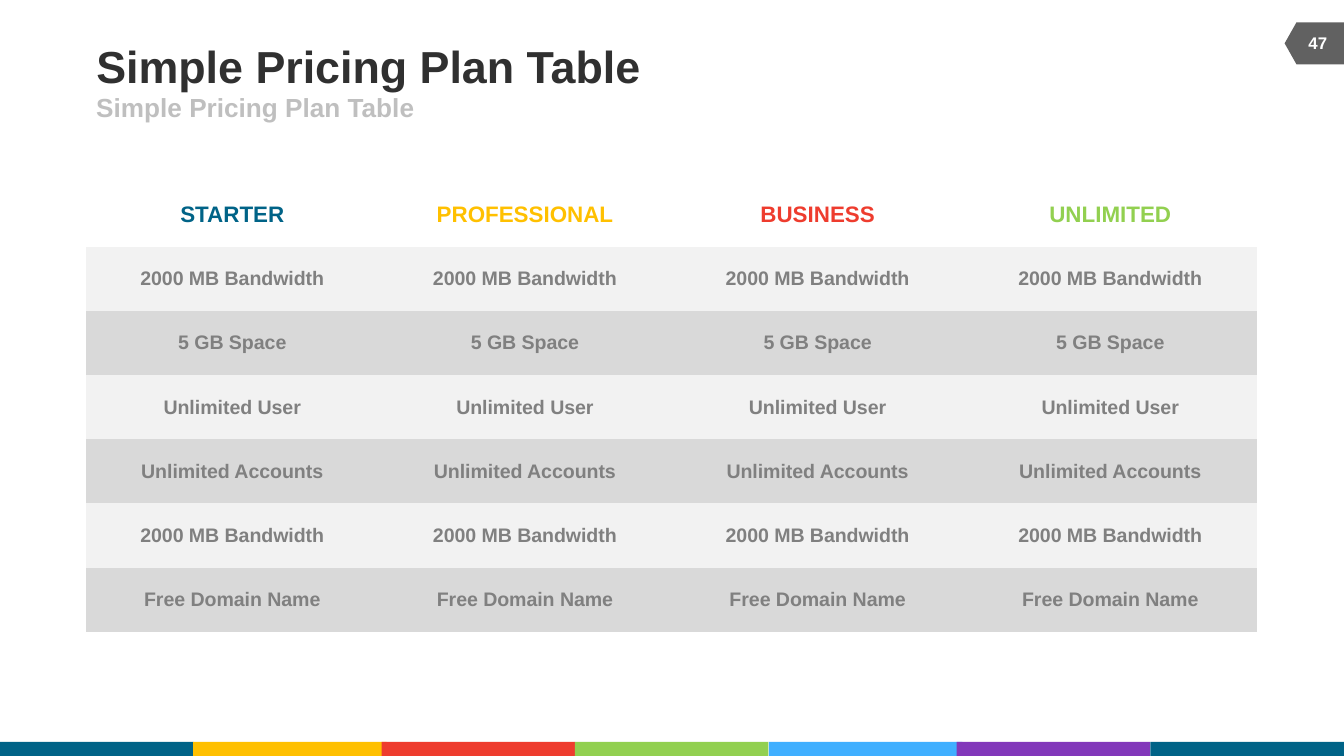
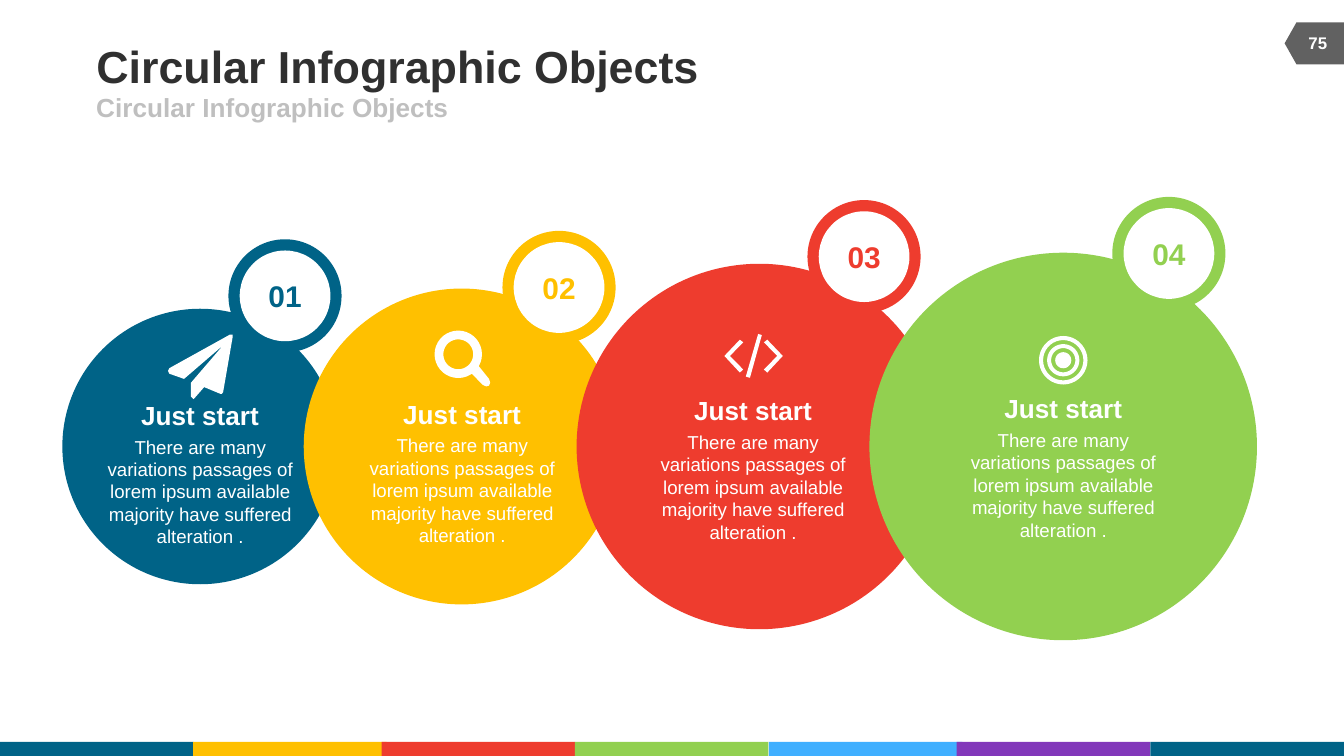
import math

from pptx import Presentation
from pptx.dml.color import RGBColor
from pptx.enum import shapes, text
from pptx.util import Pt

BLUE = RGBColor(0x00, 0x63, 0x87)
GOLD = RGBColor(0xFF, 0xC0, 0x00)
RED = RGBColor(0xEE, 0x3C, 0x2E)
GREEN = RGBColor(0x92, 0xD0, 0x50)
SKY = RGBColor(0x40, 0xAF, 0xFF)
PURPLE = RGBColor(0x82, 0x38, 0xBA)
WHITE = RGBColor(0xFF, 0xFF, 0xFF)
DARK = RGBColor(0x30, 0x30, 0x30)
SLATE = RGBColor(0x61, 0x61, 0x61)
GREY = RGBColor(0x80, 0x80, 0x80)
SILVER = RGBColor(0xBF, 0xBF, 0xBF)
PALE = RGBColor(0xF2, 0xF2, 0xF2)
MIST = RGBColor(0xD9, 0xD9, 0xD9)

FONT = "Arial"
OVAL = shapes.MSO_SHAPE.OVAL
LEFT, CENTER = text.PP_ALIGN.LEFT, text.PP_ALIGN.CENTER
TOP, MIDDLE = text.MSO_ANCHOR.TOP, text.MSO_ANCHOR.MIDDLE
NO_GRID = "{2D5ABB26-0587-4C30-8999-92F81FD0307C}"


def write(frame, words, size, color, bold=True, align=CENTER, anchor=MIDDLE, wrap=True):
    frame.auto_size = text.MSO_AUTO_SIZE.NONE
    frame.word_wrap = wrap
    frame.vertical_anchor = anchor
    frame.margin_left = frame.margin_right = frame.margin_top = frame.margin_bottom = 0
    para = frame.paragraphs[0]
    para.alignment = align
    run = para.add_run()
    run.text = words
    run.font.name, run.font.size, run.font.bold = FONT, Pt(size), bold
    run.font.color.rgb = color


def draw(slide, kind, box, color):
    shape = slide.shapes.add_shape(kind, *map(Pt, box))
    shape.shadow.inherit = False
    shape.fill.solid()
    shape.fill.fore_color.rgb = color
    shape.line.fill.background()
    return shape


prs = Presentation()
prs.slide_width, prs.slide_height = Pt(720), Pt(405)

# Shared frame: colour band, page tag, title and subtitle
BAND = [(0, BLUE), (103.5, GOLD), (204.5, RED), (308, GREEN),
        (412, SKY), (512.5, PURPLE), (616.3, BLUE)]
pages = []
for name, number in [("Simple Pricing Plan Table", "47"),
                     ("Circular Infographic Objects", "75")]:
    slide = prs.slides.add_slide(prs.slide_layouts[5])
    pages.append(slide)
    for x, color in BAND:
        draw(slide, shapes.MSO_SHAPE.RECTANGLE, (x, 397.5, 103.7, 7.5), color)
    tag = draw(slide, shapes.MSO_SHAPE.FLOWCHART_OFFPAGE_CONNECTOR,
               (692.8, 7.4, 22.5, 31.7), SLATE)
    tag.rotation = 90

    title = slide.shapes.title
    title.left, title.top, title.width, title.height = map(Pt, (51.6, 21, 444, 28))
    write(title.text_frame, name, 24, DARK, align=LEFT, wrap=False)
    sub = slide.shapes.add_textbox(*map(Pt, (51.6, 49.2, 324, 16)))
    write(sub.text_frame, name, 14, SILVER, align=LEFT, wrap=False)
    page = slide.shapes.add_textbox(*map(Pt, (691, 12.4, 30, 21.6)))
    write(page.text_frame, number, 9, WHITE)

pricing, circles = pages

# Pricing table
PLANS = [("STARTER", BLUE), ("PROFESSIONAL", GOLD), ("BUSINESS", RED), ("UNLIMITED", GREEN)]
PERKS = ["2000 MB Bandwidth", "5 GB Space", "Unlimited User",
         "Unlimited Accounts", "2000 MB Bandwidth", "Free Domain Name"]
grid = pricing.shapes.add_table(len(PERKS) + 1, len(PLANS),
                                *map(Pt, (46.1, 97.9, 627.2, 240.6))).table
grid.first_row = grid.horz_banding = False
grid._tbl.tblPr[0].text = NO_GRID
for row in grid.rows:
    row.height = Pt(34.37)
for col, (plan, color) in enumerate(PLANS):
    head = grid.cell(0, col)
    head.fill.background()
    head.vertical_anchor = MIDDLE
    write(head.text_frame, plan, 12, color)
    for row, perk in enumerate(PERKS, 1):
        cell = grid.cell(row, col)
        cell.fill.solid()
        cell.fill.fore_color.rgb = PALE if row % 2 else MIST
        cell.vertical_anchor = MIDDLE
        write(cell.text_frame, perk, 10.5, GREY)

# Icon outlines, each a list of closed contours
TURN = [(math.cos(math.radians(a)), math.sin(math.radians(a))) for a in range(0, 360, 10)]
plane = [[(124.6, 180.7), (119.5, 210.2), (118.8, 211), (118, 211), (109.4, 207.4),
          (104.4, 213.1), (103.7, 213.8), (102.2, 212.4), (102.2, 205.2), (119.5, 185),
          (98.6, 203), (90.7, 200.2), (90, 198.7), (90.7, 197.3), (123.1, 179.3),
          (124.6, 179.3)]]
lens = [[(245.5 + 12.7 * x, 189.8 + 12.7 * y) for x, y in TURN[6:] + TURN[:4]]
        + [(262, 203), (262.6, 205), (262, 206.6), (260.5, 207), (258.6, 206.2), (252.8, 200.2)],
        [(245.5 + 8 * x, 189.8 + 8 * y) for x, y in TURN]]
angle = [(396.4, 199.6), (388.1, 190.7), (396.4, 182), (398.2, 183.4), (391.1, 190.7), (398.2, 198)]
code = [angle, [(401.8, 202.4), (399.6, 201.8), (406.2, 178.9), (408.2, 179.5)],
        [(807.5 - x, y) for x, y in angle]]
target = [[(569.6 + r * x, 193 + r * y) for x, y in TURN] for r in (13, 10.8, 8.65, 6.5, 4.3)]

# Circles: colour, centre, diameter, text centre, heading top, badge corner, icon
ITEMS = [
    (BLUE, 107.2, 147.6, 107.2, 213.8, (122.4, 128.2), plane),
    (GOLD, 247.3, 169.2, 247.6, 213.2, (269.2, 123.7), lens),
    (RED, 406.8, 195.8, 403.4, 211.3, (432.6, 107.2), code),
    (GREEN, 569.6, 207.6, 569.6, 210.2, (595.9, 105.5), target),
]
BLURB = ("There are many variations passages of lorem ipsum available "
         "majority have suffered alteration .")
for i, (color, x, size, mid, top, (bx, by), icon) in enumerate(ITEMS, 1):
    draw(circles, OVAL, (x - size / 2, 239.2 - size / 2, size, size), color)
    blurb = circles.shapes.add_textbox(*map(Pt, (mid - 51.8, top + 19.5, 103.6, 60.5)))
    write(blurb.text_frame, BLURB, 10, WHITE, bold=False, anchor=TOP)
    head = circles.shapes.add_textbox(*map(Pt, (mid - 31.7, top, 63.4, 17)))
    write(head.text_frame, "Just start", 14, WHITE, anchor=TOP, wrap=False)

    pen = circles.shapes.build_freeform(*map(Pt, icon[0][0]))
    for k, line in enumerate(icon):
        if k:
            pen.move_to(*map(Pt, line[0]))
        pen.add_line_segments([(Pt(px), Pt(py)) for px, py in line[1:]], close=True)
    glyph = pen.convert_to_shape()
    glyph.shadow.inherit = False
    glyph.fill.solid()
    glyph.fill.fore_color.rgb = WHITE
    glyph.line.fill.background()

    draw(circles, OVAL, (bx, by, 60.6, 60.6), color)
    badge = draw(circles, OVAL, (bx + 6, by + 6, 48.6, 48.6), WHITE)
    write(badge.text_frame, f"{i:02}", 16, color)

prs.save("out.pptx")
